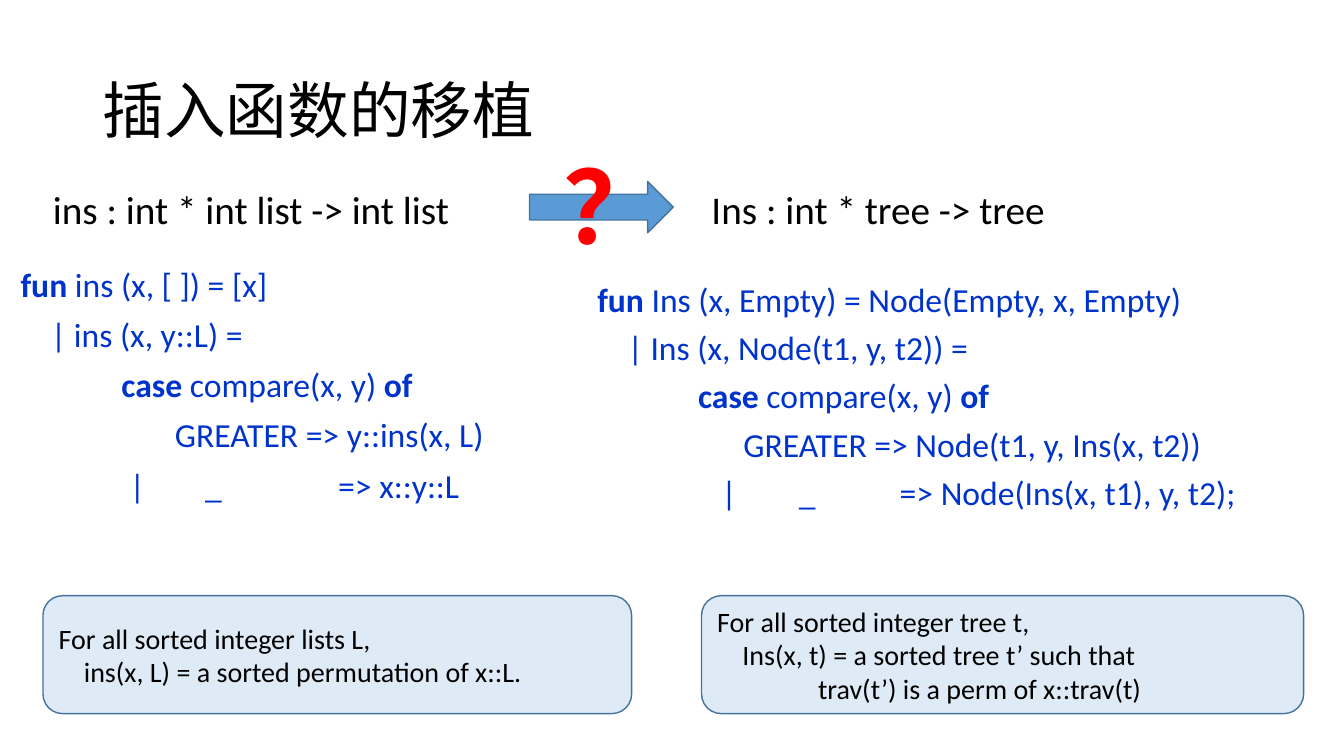
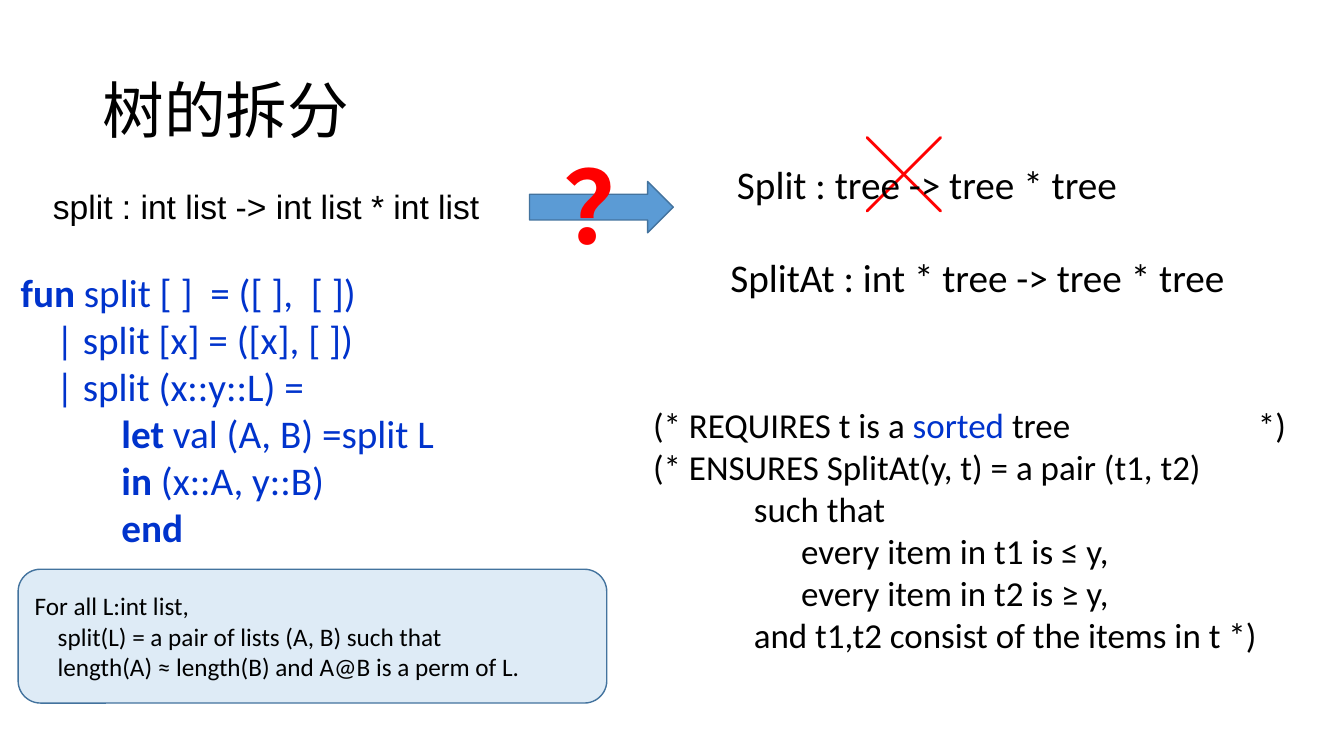
"""Build two slides that carry list functions over to sorted trees."""
from dataclasses import dataclass

from lxml import etree
from pptx import Presentation
from pptx.dml.color import RGBColor
from pptx.enum import shapes, text
from pptx.oxml import ns
from pptx.util import Inches, Pt

WIDTH, HEIGHT = Inches(13.33), Inches(7.5)


@dataclass(frozen=True)
class Theme:
    """Colours, fonts and type sizes shared by the slides."""
    ink: str = "000000"
    code: str = "0033CC"
    alert: str = "FF0000"
    arrow: str = "5B9BD5"
    note: str = "DEEBF6"
    outline: str = "43739E"
    body_font: str = "Calibri"
    plain_font: str = "Arial"
    symbol_font: str = "Noto Sans CJK JP"
    title_size: int = 44
    question_size: int = 72
    cross_size: int = 54
    large: int = 28
    comment: int = 25
    medium: int = 24
    note_size: int = 20
    note_small: int = 18


THEME = Theme()


def place(left, top, width, height):
    """Turn percentages of the slide into a left, top, width, height box."""
    return [int(share * side / 100) for share, side in
            zip((left, top, width, height), (WIDTH, HEIGHT) * 2)]


def add_tab_stops(paragraph, stops):
    """Give a paragraph left tab stops, in inches."""
    properties = paragraph._p.get_or_add_pPr()
    tab_list = etree.SubElement(properties, ns.qn("a:tabLst"))
    for stop in stops:
        etree.SubElement(tab_list, ns.qn("a:tab"), pos=str(Inches(stop)), algn="l")


def write_row(paragraph, row, emphasis):
    """Write the text of (stop, text, ...) cells, styling what ** encloses."""
    stops, cells = row[::2], row[1::2]
    content = "".join(("\t" if stop else "") + cell for stop, cell in zip(stops, cells))
    for index, part in enumerate(content.split("**")):
        if part:
            run = paragraph.add_run()
            run.text = part
            if index % 2:
                emphasis(run.font)


def embolden(font):
    """Mark a keyword in bold."""
    font.bold = True


def tint(font):
    """Mark a word in the code colour."""
    font.color.rgb = RGBColor.from_string(THEME.code)


def fill_text(shape, rows, size, color=THEME.ink, font=THEME.body_font, bold=False,
              spacing=1.0, before=0, middle=False, emphasis=embolden):
    """Fill a shape with one paragraph per row."""
    frame = shape.text_frame
    frame.word_wrap = True
    frame.vertical_anchor = text.MSO_ANCHOR.MIDDLE if middle else text.MSO_ANCHOR.TOP
    for index, row in enumerate(rows):
        paragraph = frame.add_paragraph() if index else frame.paragraphs[0]
        paragraph.alignment = text.PP_ALIGN.LEFT
        paragraph.line_spacing = spacing
        paragraph.space_before = Pt(before)
        stops = [stop for stop in row[::2] if stop]
        if stops:
            add_tab_stops(paragraph, stops)
        paragraph.font.name = font
        paragraph.font.size = Pt(size)
        paragraph.font.bold = bold
        paragraph.font.color.rgb = RGBColor.from_string(color)
        write_row(paragraph, row, emphasis)


def add_text(slide, box, rows, size, **style):
    """Add a text box; a plain string is a single row."""
    rows = [(0, rows)] if isinstance(rows, str) else rows
    fill_text(slide.shapes.add_textbox(*place(*box)), rows, size, **style)


def add_panel(slide, kind, box, fill):
    """Add a filled, outlined preset shape."""
    shape = slide.shapes.add_shape(kind, *place(*box))
    shape.shadow.inherit = False
    shape.fill.solid()
    shape.fill.fore_color.rgb = RGBColor.from_string(fill)
    shape.line.color.rgb = RGBColor.from_string(THEME.outline)
    shape.line.width = Pt(1)
    return shape


def add_note(slide, box, rows, size):
    """Add a rounded box with a specification."""
    shape = add_panel(slide, shapes.MSO_SHAPE.ROUNDED_RECTANGLE, box, THEME.note)
    fill_text(shape, rows, size, middle=True)


def add_question_arrow(slide):
    """Add the arrow from list to tree with its question mark."""
    add_panel(slide, shapes.MSO_SHAPE.RIGHT_ARROW, (39.4, 24, 10.7, 6.8), THEME.arrow)
    add_text(slide, (41.2, 18.3, 4.95, 17.5), "？", THEME.question_size,
             color=THEME.alert, font=THEME.plain_font, bold=True)


def add_topic_slide(presentation, title):
    """Add a blank slide with the shared title and arrow."""
    slide = presentation.slides.add_slide(presentation.slide_layouts[6])
    add_text(slide, (6.9, 5.3, 86.25, 19.3), title, THEME.title_size,
             spacing=0.9, middle=True)
    add_question_arrow(slide)
    return slide


def build_insertion(presentation):
    """Compare insertion into a list and into a tree."""
    slide = add_topic_slide(presentation, "插入函数的移植")
    add_text(slide, (3.2, 23.9, 37.65, 7.6), "ins : int * int list -> int list", THEME.large)
    add_text(slide, (52.2, 23.9, 37.65, 7.6), "Ins : int * tree -> tree", THEME.large)
    add_text(slide, (0.8, 34.8, 42.4, 30.3), [
        (0, "**fun** ins (x, [ ]) = [x]"),
        (0.3, "| ins (x, y::L) ="),
        (1, "**case** compare(x, y) **of**"),
        (1.53, "GREATER => y::ins(x, L)"),
        (1.08, "|", 1.83, "_", 3.15, "=> x::y::L"),
    ], THEME.medium, color=THEME.code, spacing=0.9, before=10)
    add_text(slide, (43.7, 35.1, 54.4, 33.6), [
        (0, "**fun** Ins (x, Empty) = Node(Empty, x, Empty)"),
        (0.3, "| Ins (x, Node(t1, y, t2)) ="),
        (1, "**case** compare(x, y) **of**"),
        (1.45, "GREATER => Node(t1, y, Ins(x, t2))"),
        (1.23, "|", 2, "_", 3, "=> Node(Ins(x, t1), y, t2);"),
    ], THEME.medium, color=THEME.code, spacing=1.2)
    add_note(slide, (3.2, 78.8, 43.8, 15.6), [
        (0, "For all sorted integer lists L,"),
        (0.25, "ins(x, L) = a sorted permutation of x::L."),
    ], THEME.note_size)
    add_note(slide, (52.2, 78.8, 44.8, 15.6), [
        (0, "For all sorted integer tree t,"),
        (0.25, "Ins(x, t) = a sorted tree t’ such that"),
        (1, "trav(t’) is a perm of x::trav(t)"),
    ], THEME.note_size)


def build_splitting(presentation):
    """Compare splitting a list and splitting a tree."""
    slide = add_topic_slide(presentation, "树的拆分")
    add_text(slide, (3.2, 23.9, 37.65, 6.8), "split : int list -> int list * int list",
             THEME.medium, font=THEME.plain_font)
    add_text(slide, (63.7, 16.3, 5.3, 13.5), "╳", THEME.cross_size,
             color=THEME.alert, font=THEME.symbol_font, bold=True)
    add_text(slide, (54.1, 20.5, 37.65, 7.6), "Split : tree -> tree * tree", THEME.large)
    add_text(slide, (53.6, 32.8, 42.4, 7.6), "SplitAt : int * tree -> tree * tree", THEME.large)
    add_text(slide, (0.8, 34.8, 42.4, 30.3), [
        (0, "**fun** split [ ]  = ([ ],  [ ])"),
        (0.35, "| split [x] = ([x], [ ])"),
        (0.35, "| split (x::y::L) ="),
        (1, "**let** val (A, B) =split L"),
        (1, "**in** (x::A, y::B)"),
        (1, "**end**"),
    ], THEME.large, color=THEME.code)
    add_note(slide, (1.35, 75.3, 43.8, 17.7), [
        (0, "For all L:int list,"),
        (0.23, "split(L) = a pair of lists (A, B) such that"),
        (0.23, "length(A) ≈ length(B) and A@B is a perm of L."),
    ], THEME.note_small)
    add_text(slide, (47.85, 52.7, 50, 34.9), [
        (0, "(* REQUIRES t is a **sorted** tree", 6, "*)"),
        (0, "(* ENSURES SplitAt(y, t) = a pair (t1, t2)"),
        (1, "such that"),
        (1.47, "every item in t1 is ≤ y,"),
        (1.47, "every item in t2 is ≥ y,"),
        (1, "and t1,t2 consist of the items in t *)"),
    ], THEME.comment, emphasis=tint)


def main():
    """Build and save the presentation."""
    presentation = Presentation()
    presentation.slide_width, presentation.slide_height = WIDTH, HEIGHT
    build_insertion(presentation)
    build_splitting(presentation)
    presentation.save("out.pptx")


main()
